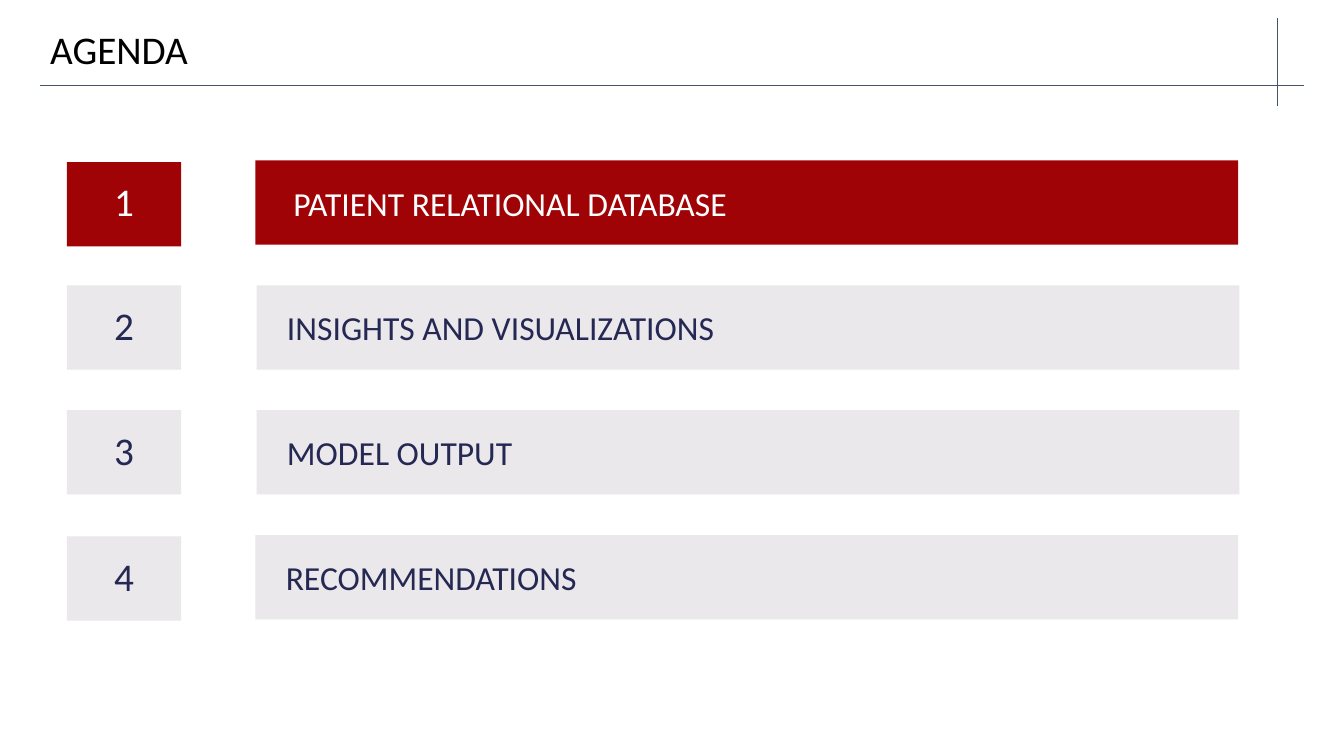
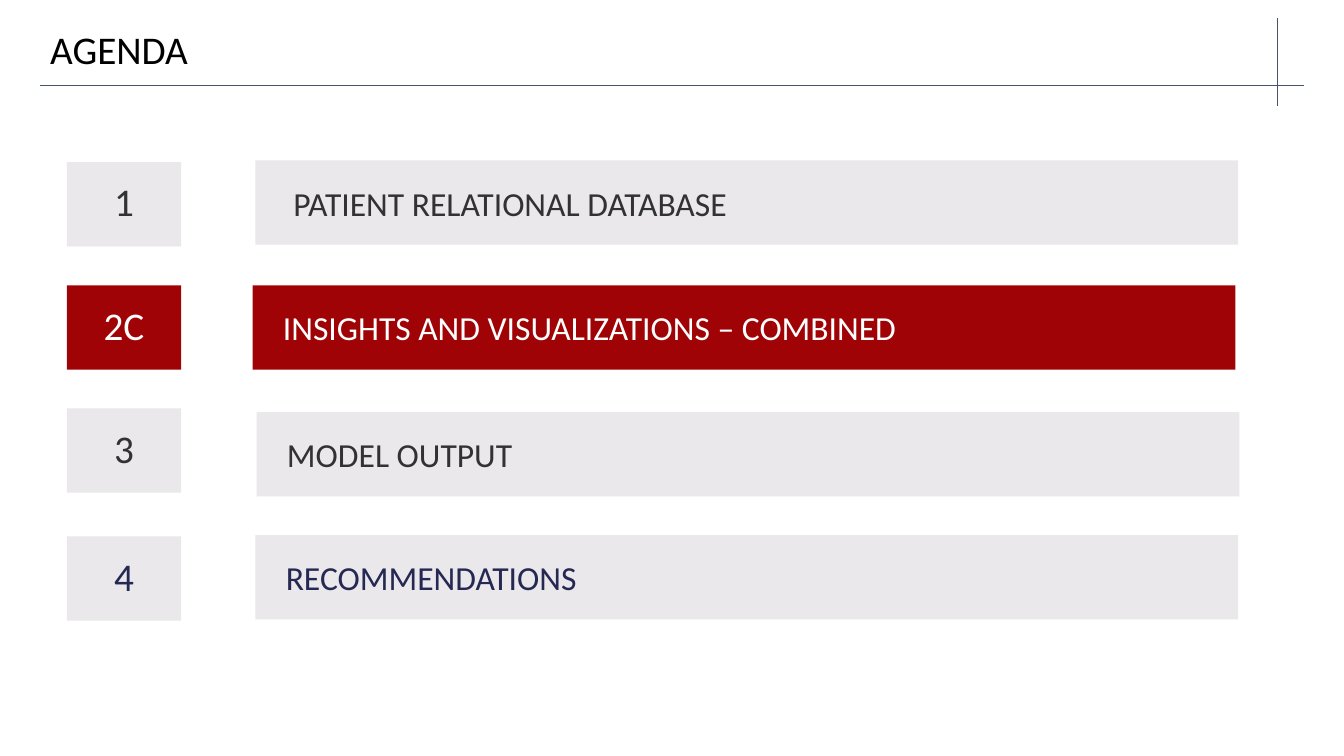
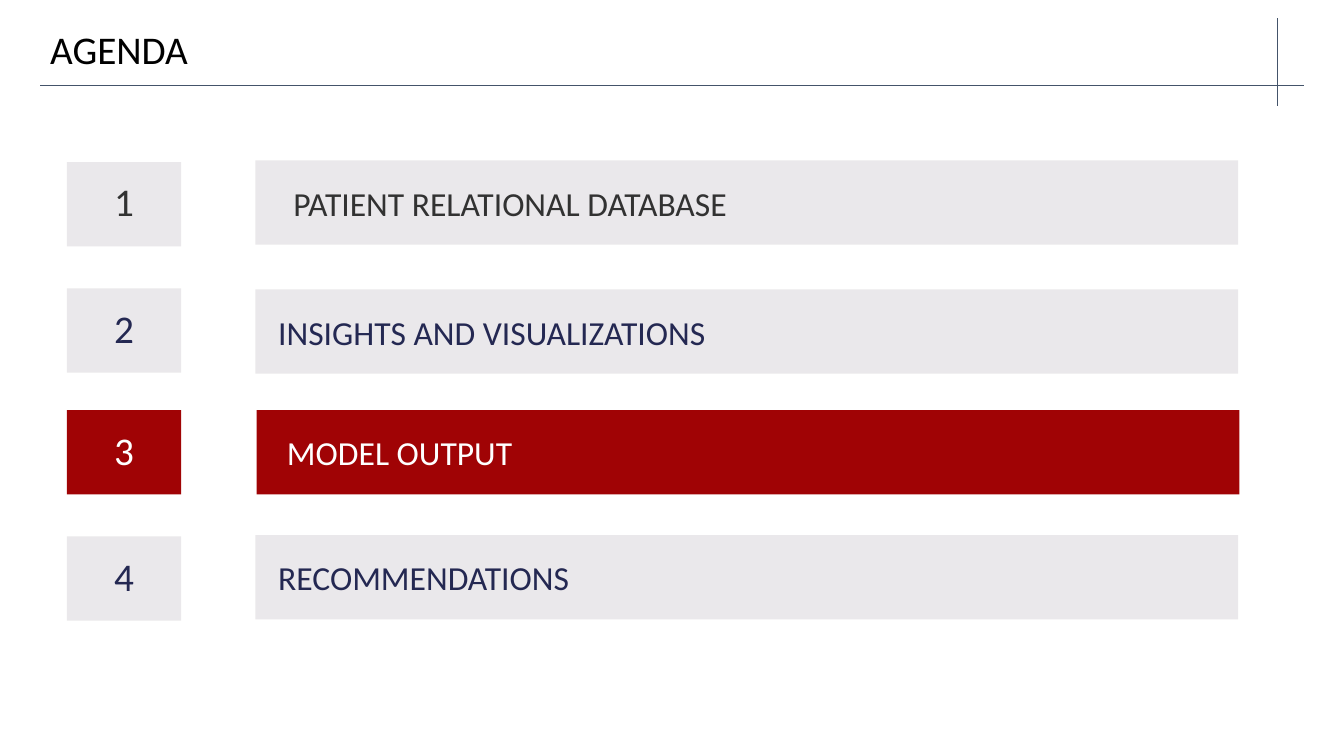
from collections import namedtuple
from dataclasses import dataclass

from lxml.etree import SubElement
from pptx import Presentation
from pptx.dml.color import RGBColor
from pptx.enum.shapes import MSO_CONNECTOR, MSO_SHAPE
from pptx.enum.text import MSO_ANCHOR, PP_ALIGN
from pptx.oxml.ns import qn
from pptx.util import Pt


@dataclass(frozen=True)
class Theme:
    font: str = "Calibri"
    head: int = 28
    label: int = 24
    black: str = "000000"
    white: str = "FFFFFF"
    red: str = "A00305"
    pale: str = "EAE8EB"
    navy: str = "242852"
    grey: str = "323232"
    rule: str = "44546A"
    thin: float = 0.75


THEME = Theme()
Box = namedtuple("Box", "x y w h")

# Slide and region boxes, in points
PAGE = Box(0, 0, 960, 540)
HEAD = Box(28.8, 13, 883.4, 48.2)
LIST = Box(47.8, 114.6, 836.6, 327.8)

# Agenda grid: a number tag and a bar in every row
ROWS = 4
ROW_H = 60.2
PITCH = (LIST.h - ROW_H) / (ROWS - 1)
TAG_W = 81.6
BAR_W = 702


@dataclass(frozen=True)
class Item:
    num: str
    text: str
    ink: str = THEME.navy
    indent: float = 21.7
    bar_dx: float = 0
    bar_dy: float = 0
    tag_dy: float = 0
    on: bool = False


def color(code):
    return RGBColor.from_string(code)


def write(shape, text, size, ink, align=PP_ALIGN.LEFT, lead=1.0, pad=(0, 0, 0, 0)):
    frame = shape.text_frame
    frame.word_wrap = True
    frame.vertical_anchor = MSO_ANCHOR.MIDDLE
    frame.margin_left, frame.margin_top, frame.margin_right, frame.margin_bottom = map(Pt, pad)
    para = frame.paragraphs[0]
    para.alignment = align
    para.line_spacing = lead
    run = para.add_run()
    run.text = text
    run.font.name = THEME.font
    run.font.size = Pt(size)
    run.font.color.rgb = color(ink)


def draw_rule(slide, x1, y1, x2, y2):
    line = slide.shapes.add_connector(MSO_CONNECTOR.STRAIGHT, Pt(x1), Pt(y1), Pt(x2), Pt(y2))
    line.line.color.rgb = color(THEME.rule)
    line.line.width = Pt(THEME.thin)
    SubElement(line._element.spPr, qn("a:effectLst"))


def draw_block(slide, box, fill):
    block = slide.shapes.add_shape(MSO_SHAPE.RECTANGLE, *map(Pt, box))
    block.shadow.inherit = False
    block.fill.solid()
    block.fill.fore_color.rgb = color(fill)
    block.line.fill.background()
    return block


def draw_head(slide, box, title):
    # Crossing rules run past the title box
    right, base = box.x + box.w, box.y + box.h
    draw_rule(slide, box.x, base, right + 19.4, base)
    draw_rule(slide, right, box.y, right, base + 14.4)
    # Title
    area = slide.shapes.add_textbox(*map(Pt, box))
    write(area, title, THEME.head, THEME.black, lead=0.9, pad=(7.2, 3.6, 7.2, 3.6))


def draw_row(slide, box, item):
    fill = THEME.red if item.on else THEME.pale
    ink = THEME.white if item.on else item.ink
    # Bar, set against the right edge
    left = box.x + box.w - BAR_W + item.bar_dx
    bar = draw_block(slide, Box(left, box.y + item.bar_dy, BAR_W, box.h), fill)
    write(bar, item.text, THEME.label, ink, pad=(item.indent, 0, 0, 0))
    # Number tag, set against the left edge
    tag = draw_block(slide, Box(box.x, box.y + item.tag_dy, TAG_W, box.h), fill)
    write(tag, item.num, THEME.head, ink, PP_ALIGN.CENTER, 0.9)


def draw_list(slide, box, items):
    for i, item in enumerate(items):
        draw_row(slide, Box(box.x, box.y + i * PITCH, box.w, ROW_H), item)


def first(**kw):
    return Item("1", "PATIENT RELATIONAL DATABASE", THEME.grey, 27.1, tag_dy=1.2, **kw)


def second(num="2", tail="", **kw):
    return Item(num, "INSIGHTS AND VISUALIZATIONS" + tail, **kw)


def third(**kw):
    return Item("3", "MODEL OUTPUT", bar_dx=0.9, **kw)


def fourth(**kw):
    return Item("4", "RECOMMENDATIONS", tag_dy=0.9, **kw)


AGENDAS = [
    [first(on=True), second(bar_dx=0.9), third(), fourth()],
    [first(), second("2C", " – COMBINED", bar_dx=-2, on=True),
     third(ink=THEME.grey, bar_dy=1.4, tag_dy=-1.2), fourth()],
    [first(), second(indent=16.3, bar_dy=3, tag_dy=2.2),
     third(on=True), fourth(indent=16.3)],
]


def main():
    deck = Presentation()
    deck.slide_width, deck.slide_height = Pt(PAGE.w), Pt(PAGE.h)
    for items in AGENDAS:
        slide = deck.slides.add_slide(deck.slide_layouts[6])
        draw_head(slide, HEAD, "AGENDA")
        draw_list(slide, LIST, items)
    deck.save("out.pptx")


if __name__ == "__main__":
    main()
